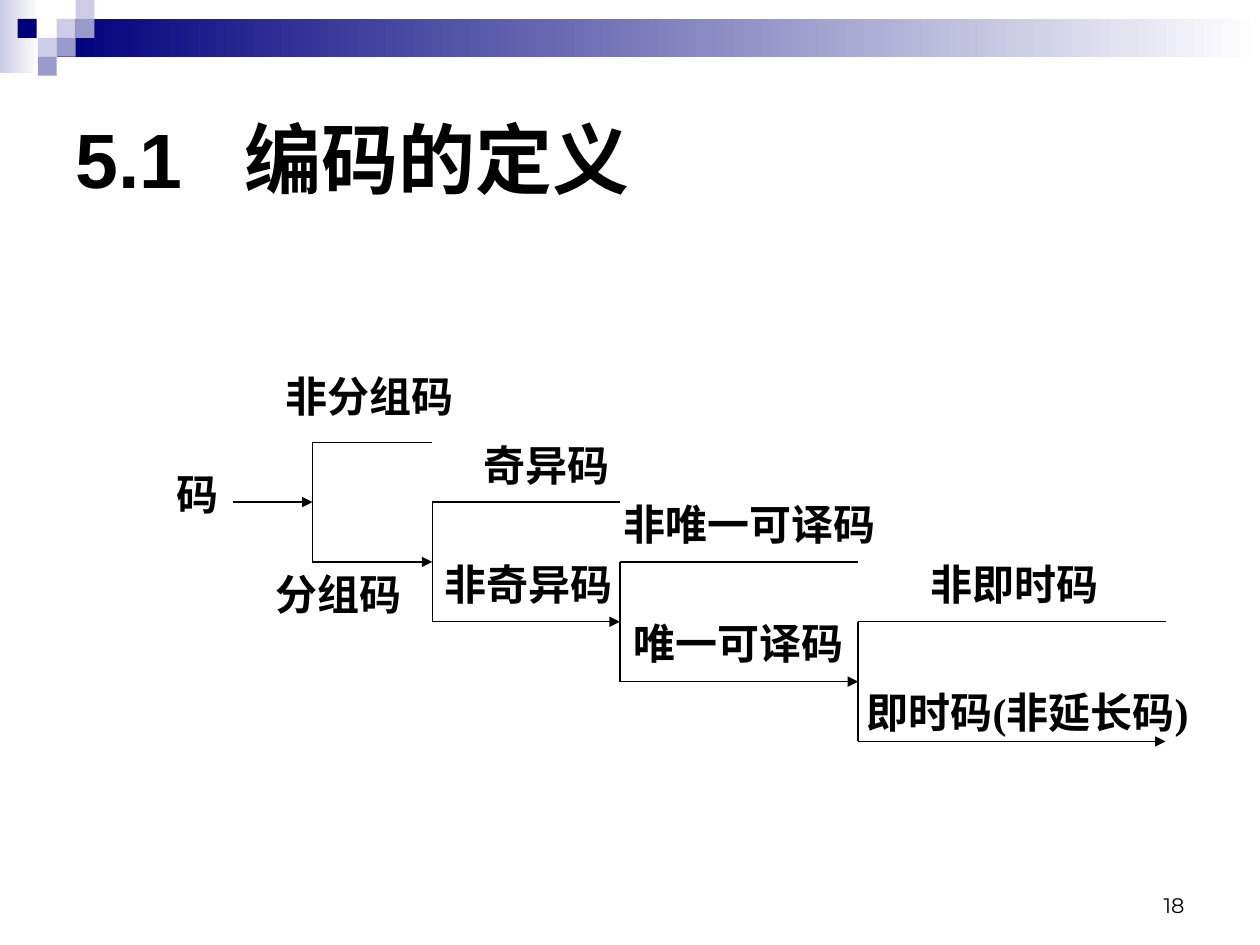
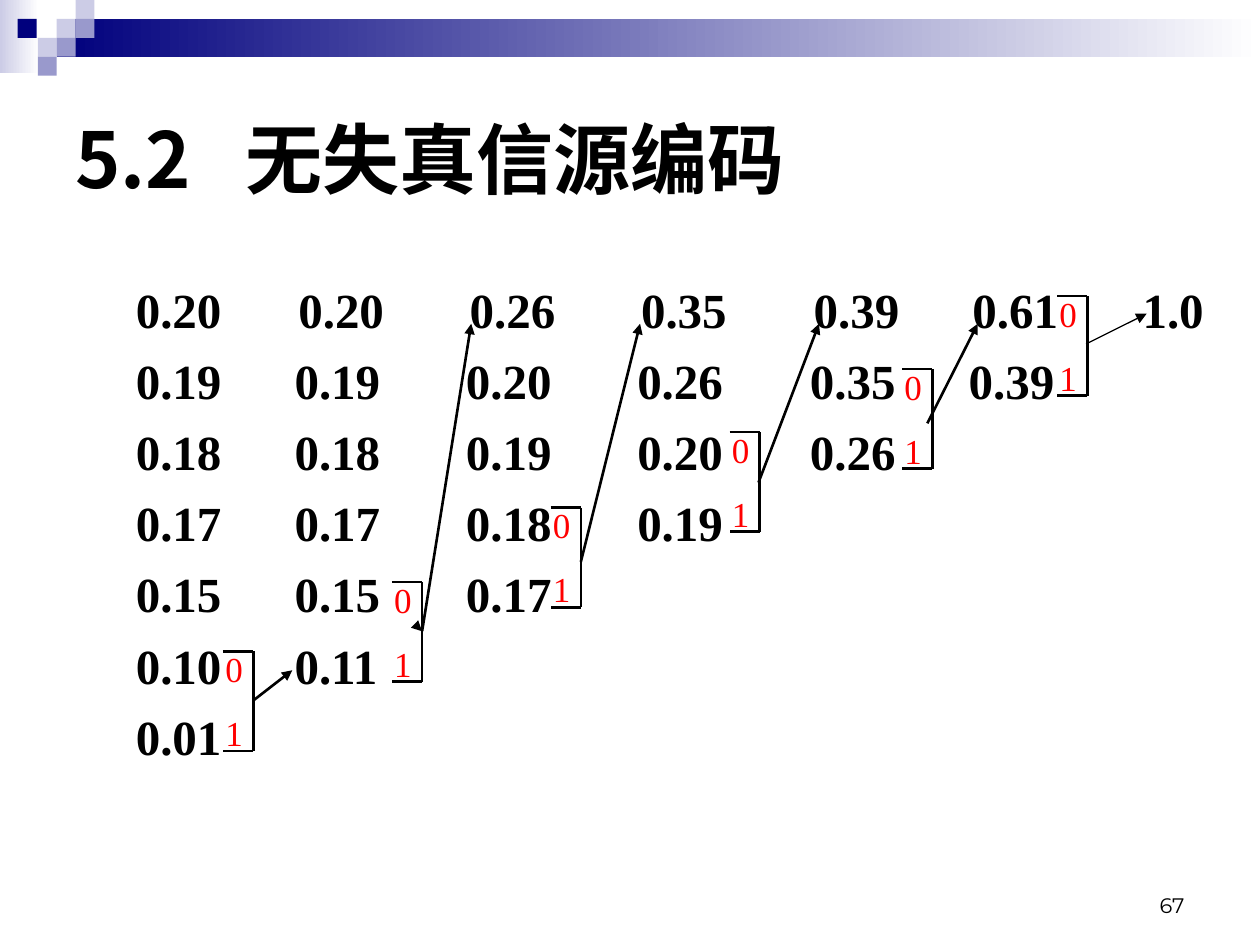
"""Build two slides on source coding: a tree of code types and a Huffman merge table."""
import pptx
import pptx.util
import pptx.dml.color
import pptx.enum.shapes
import pptx.enum.text
import pptx.oxml
import pptx.oxml.ns

Inches = pptx.util.Inches
Pt = pptx.util.Pt
RGB = pptx.dml.color.RGBColor.from_string
ALIGN = pptx.enum.text.PP_ALIGN
ANCHOR = pptx.enum.text.MSO_ANCHOR
SHAPE = pptx.enum.shapes.MSO_SHAPE
LINK = pptx.enum.shapes.MSO_CONNECTOR

THEME = {
    "navy": "00007D", "mid": "9999CC", "pale": "CCCCE6", "white": "FFFFFF", "ink": "000000",
    "east": "Noto Sans CJK SC", "thin": 0.75, "bold": 1.5,
    "title": {"name": "Arial", "size": Pt(44), "bold": True},
    "page": {"name": "Montserrat", "size": Pt(12), "bold": False},
    "label": {"name": "Times New Roman", "size": Pt(24), "bold": True},
    "table": {"name": "Times New Roman", "size": Pt(28), "bold": True},
    "bit": {"name": "Times New Roman", "size": Pt(20), "bold": False},
    "red": "FF0000",
}

FADES = [((0, 0, 0.31, 0.58), "pale"), ((0.45, 0.15, 9.55, 0.3), "navy")]
TILES = [
    (0.45, 0.15, "pale"), (0.6, 0, "pale"), (0.6, 0.15, "mid"), (0.3, 0.3, "pale"),
    (0.14, 0.15, "navy"), (0.45, 0.3, "mid"), (0.3, 0.45, "mid"),
]
TILE = 0.15

FORKS = [2.48, 3.43, 4.92, 6.81, 9.25]
ROOT, TOP, STEP = 1.85, 3.51, 0.475
LABELS = [
    ("码", 1.3, 3.67, 0.55), ("奇异码", 3.74, 3.44, 1.2), ("非分组码", 2.17, 2.89, 1.53),
    ("分组码", 2.09, 4.46, 1.21), ("非奇异码", 3.43, 4.38, 1.53),
    ("非唯一可译码", 4.85, 3.91, 2.2), ("非即时码", 7.29, 4.38, 1.53),
    ("即时码(非延长码)", 6.78, 5.4, 3.1), ("唯一可译码", 4.93, 4.85, 1.95),
]

ROWS = [
    ["0.20", "0.20", "0.26", "0.35", "0.39", "0.61", "1.0"],
    ["0.19", "0.19", "0.20", "0.26", "0.35", "0.39"],
    ["0.18", "0.18", "0.19", "0.20", "0.26"],
    ["0.17", "0.17", "0.18", "0.19"],
    ["0.15", "0.15", "0.17"],
    ["0.10", "0.11"],
    ["0.01"],
]
STOPS = [1.26, 2.62, 3.98, 5.35, 6.61, 7.96]
SHIFT = 0.03
PAIRS = [(1.77, 5.17), (3.11, 4.62), (4.37, 4.03), (5.79, 3.43), (7.16, 2.93), (8.39, 2.35)]
WIDE, HIGH = 0.24, 0.79
MERGES = [
    (2.01, 5.56, 2.32, 5.32, "bold"), (3.34, 5.0, 3.35, 5.01, "thin"),
    (3.35, 5.01, 3.74, 2.57, "bold"), (4.61, 4.46, 5.08, 2.57, "bold"),
    (6.02, 3.83, 6.5, 2.57, "bold"), (7.36, 3.36, 7.76, 2.57, "bold"),
    (8.62, 2.73, 9.1, 2.49, "thin"),
]


def add_tag(host, tag, **attrs):
    node = pptx.oxml.parse_xml(f"<a:{tag} {pptx.oxml.ns.nsdecls('a')}/>")
    for key, val in attrs.items():
        node.set(key, str(val))
    host.append(node)
    return node


def add_text(slide, box, lines, style, color="ink", wrap=True, anchor=ANCHOR.TOP,
             align=ALIGN.LEFT, gap=0, tabs=(), **extra):
    shape = slide.shapes.add_textbox(*map(Inches, box))
    frame = shape.text_frame
    form = {"word_wrap": wrap, "vertical_anchor": anchor}
    for key, val in form.items():
        setattr(frame, key, val)
    for row, line in enumerate(lines):
        para = frame.paragraphs[0] if row == 0 else frame.add_paragraph()
        para.text = line
        for key, val in {"alignment": align, "space_before": Pt(gap)}.items():
            setattr(para, key, val)
        if tabs:
            bar = add_tag(para._p.get_or_add_pPr(), "tabLst")
            for stop in tabs:
                move = SHIFT if len(lines) > 1 and row == 0 else 0
                add_tag(bar, "tab", pos=Inches(stop + move), algn="l")
        for run in para.runs:
            for key, val in {**THEME[style], **extra}.items():
                setattr(run.font, key, val)
            run.font.color.rgb = RGB(THEME[color])
            add_tag(run._r.get_or_add_rPr(), "ea", typeface=THEME["east"])
    return shape


def add_line(slide, x1, y1, x2, y2, weight="thin", head=False):
    line = slide.shapes.add_connector(LINK.STRAIGHT, *map(Inches, (x1, y1, x2, y2)))
    line.line.color.rgb = RGB(THEME["ink"])
    line.line.width = Pt(THEME[weight])
    if head:
        add_tag(line.line._get_or_add_ln(), "tailEnd", type="triangle")
    add_tag(line._element.spPr, "effectLst")


def add_block(slide, box, color, fade=False):
    shape = slide.shapes.add_shape(SHAPE.RECTANGLE, *map(Inches, box))
    shape.shadow.inherit = False
    shape.line.fill.background()
    if fade:
        shape.fill.gradient()
        shape.fill.gradient_angle = 0
        for stop, tone in zip(shape.fill.gradient_stops, (color, "white")):
            stop.color.rgb = RGB(THEME[tone])
    else:
        shape.fill.solid()
        shape.fill.fore_color.rgb = RGB(THEME[color])


def add_base(deck, title, page, tab, **extra):
    slide = deck.slides.add_slide(deck.slide_layouts[6])
    for box, color in FADES:
        add_block(slide, box, color, fade=True)
    for left, top, color in TILES:
        add_block(slide, (left, top, TILE, TILE), color)
    add_text(slide, (7.17, 6.83, 2.33, 0.5), [page], "page",
             anchor=ANCHOR.BOTTOM, align=ALIGN.RIGHT)
    add_text(slide, (0.5, 0.5, 9, 1.5), [title], "title",
             anchor=ANCHOR.MIDDLE, tabs=[tab], **extra)
    return slide


def add_tree(deck):
    slide = add_base(deck, "5.1\t编码的定义", "18", 1.34)
    add_line(slide, ROOT, TOP + STEP, FORKS[0], TOP + STEP, head=True)
    for step, (left, right) in enumerate(zip(FORKS, FORKS[1:])):
        high = TOP + step * STEP
        low = high + 2 * STEP
        add_line(slide, left, high, left, low)
        add_line(slide, left, high, right, high)
        add_line(slide, left, low, right, low, head=True)
    for text, left, top, width in LABELS:
        add_text(slide, (left, top, width, 0.5), [text], "label", wrap=False)


def add_merge(deck):
    slide = add_base(deck, "5.2\t无失真信源编码", "67", 1.35, name=THEME["east"])
    body = add_text(slide, (0.98, 2.17, 8.8, 4.5), ["\t".join(row) for row in ROWS],
                    "table", gap=7, tabs=STOPS)
    body.fill.solid()
    body.fill.fore_color.rgb = RGB(THEME["white"])
    for left, top in PAIRS:
        right, low = left + WIDE, top + HIGH
        add_line(slide, left, top, right, top, "bold")
        add_line(slide, right, top, right, low, "bold")
        add_line(slide, right, low, left, low, "bold")
        add_text(slide, (left - 0.08, top - 0.08, 0.55, 0.94), ["0", "1"],
                 "bit", "red", gap=12.5)
    for *ends, weight in MERGES:
        add_line(slide, *ends, weight, head=True)


def main():
    deck = pptx.Presentation()
    for key, val in {"slide_width": 10, "slide_height": 7.5}.items():
        setattr(deck, key, Inches(val))
    add_tree(deck)
    add_merge(deck)
    deck.save("out.pptx")


if __name__ == "__main__":
    main()
